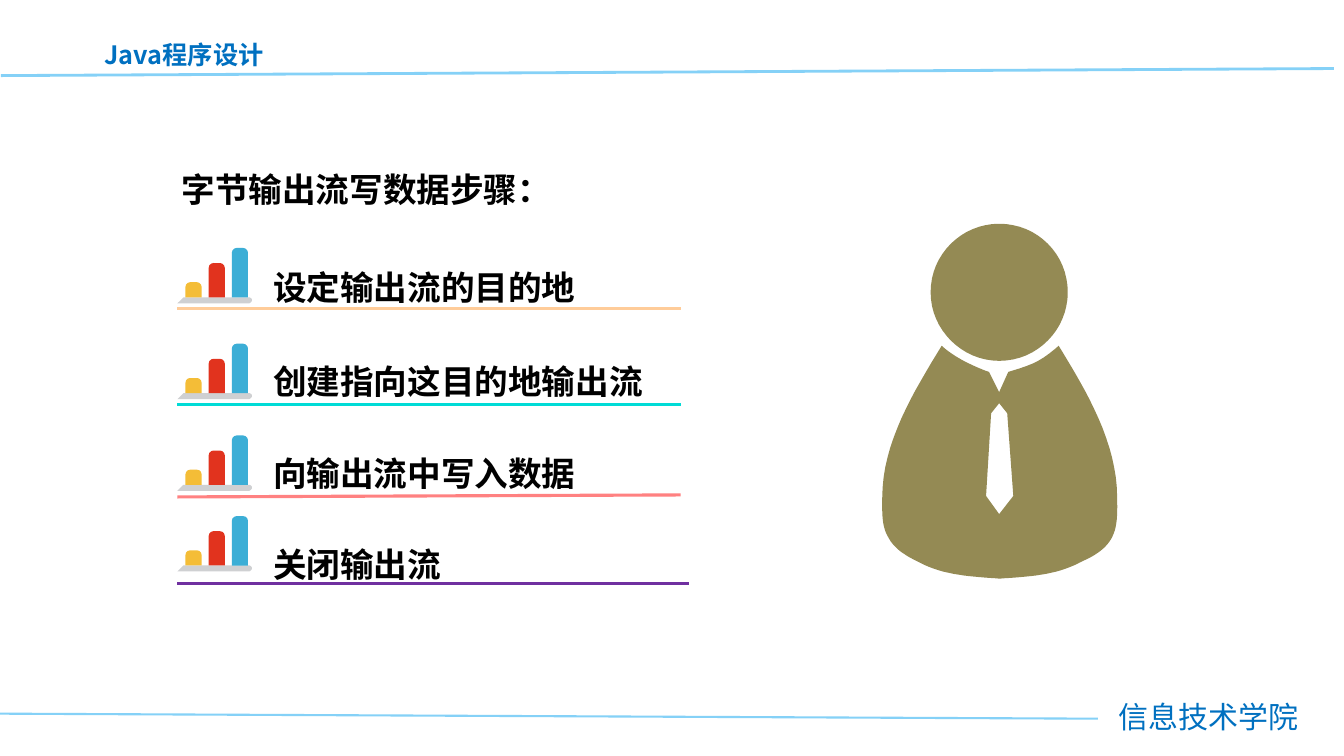
import pptx
import pptx.util
import pptx.dml.color
import pptx.enum.shapes
import pptx.enum.text
import pptx.oxml
import pptx.oxml.ns

SCALE = 9144
FINE = 10
FONT = "Noto Sans CJK SC"
COLORS = {
    "rule": "85D1F7", "brand": "0070C0", "edge": "4F81BD", "text": "000000",
    "peach": "FFCC99", "teal": "00DBD6", "coral": "FF8181", "purple": "7030A0",
    "base": "CFD0D2", "yellow": "F4BD37", "red": "E1331E", "blue": "3CAED6",
    "person": "948A54",
}
STEPS = [
    ("设定输出流的目的地", 248, 246, (306, 306), 675, "peach"),
    ("创建指向这目的地输出流", 341, 341, (401, 401), 675, "teal"),
    ("向输出流中写入数据", 432, 432, (493, 491), 675, "coral"),
    ("关闭输出流", 523, 512, (579, 579), 683, "purple"),
]
BARS = [(184, 15, "yellow"), (207, 34, "red"), (230, 49, "blue")]
HEAD = [
    (1059, 290), (1059, 327, 1029, 358, 991, 358), (954, 358, 923, 327, 923, 290),
    (923, 252, 954, 222, 991, 222), (1029, 222, 1059, 252, 1059, 290),
]
BODY = [
    (991, 389), (981, 369), (981, 369, 951, 359, 934, 343),
    (906, 389, 875, 439, 875, 494), (875, 507, 874, 521, 881, 533),
    (888, 546, 900, 552, 912, 558), (936, 571, 965, 572, 991, 574), (992, 574),
    (1019, 572, 1047, 571, 1071, 558), (1084, 552, 1096, 546, 1103, 533),
    (1109, 521, 1108, 507, 1108, 494), (1108, 439, 1078, 389, 1050, 343),
    (1032, 359, 1023, 362, 1000, 369),
]
TIE = [(991, 510), (978, 492), (983, 410), (991, 400), (999, 410), (1005, 492)]


def px(length):
    return pptx.util.Emu(length * SCALE)


def color(name):
    return pptx.dml.color.RGBColor.from_string(COLORS[name])


def add_xml(parent, tag, index=None):
    element = pptx.oxml.parse_xml(f"<a:{tag} {pptx.oxml.ns.nsdecls('a')}/>")
    parent.insert(len(parent) if index is None else index, element)
    return element


def add_text(page, text, left, top, width, height, size, shade="text", bold=True):
    box = page.shapes.add_textbox(px(left), px(top), px(width), px(height))
    box.text_frame.word_wrap = True
    para = box.text_frame.paragraphs[0]
    para.text = text
    para.font.size = pptx.util.Pt(size)
    para.font.bold = bold
    para.font.color.rgb = color(shade)
    para.font.name = FONT
    add_xml(para.font._element, "ea").set("typeface", FONT)
    return box


def add_rule(page, start, end, shade, weight):
    rule = page.shapes.add_connector(
        pptx.enum.shapes.MSO_CONNECTOR.STRAIGHT, *map(px, start + end))
    rule.line.color.rgb = color(shade)
    rule.line.width = pptx.util.Pt(weight)
    add_xml(rule._element.spPr, "effectLst")


def paint(shape, shade):
    shape.shadow.inherit = False
    shape.fill.solid()
    shape.fill.fore_color.rgb = color(shade)
    shape.line.fill.background()


def trace(outline, samples=16):
    points = [outline[0]]
    for segment in outline[1:]:
        if len(segment) == 2:
            points.append(segment)
            continue
        anchors = [points[-1], segment[:2], segment[2:4], segment[4:]]
        for step in range(1, samples + 1):
            t = step / samples
            weights = ((1 - t) ** 3, 3 * t * (1 - t) ** 2, 3 * t * t * (1 - t), t ** 3)
            points.append(tuple(
                sum(weight * anchor[axis] for weight, anchor in zip(weights, anchors))
                for axis in (0, 1)))
    return [(x * FINE, y * FINE) for x, y in points]


def add_outline(shapes, outlines, shade):
    contours = [trace(outline) for outline in outlines]
    builder = shapes.build_freeform(*contours[0][0], scale=SCALE / FINE)
    for number, contour in enumerate(contours):
        if number:
            builder.move_to(*contour[0])
        builder.add_line_segments(contour[1:], close=True)
    paint(builder.convert_to_shape(), shade)


def add_chart_icon(page, top):
    icon = page.shapes.add_group_shape()
    floor = top + 49
    base = [(247, floor), (182, floor), (176, floor + 6), (247, floor + 6),
            (248, floor + 6, 250, floor + 4, 250, floor + 3),
            (250, floor + 1, 248, floor, 247, floor)]
    add_outline(icon.shapes, [base], "base")
    for left, height, shade in BARS:
        bar = icon.shapes.add_shape(
            pptx.enum.shapes.MSO_SHAPE.ROUND_2_SAME_RECTANGLE,
            px(left), px(floor - height), px(16), px(height))
        bar.adjustments[0] = 0.3
        paint(bar, shade)


def add_frame(page):
    add_rule(page, (1, 75), (1323, 68), "rule", 2)
    add_text(page, "Java程序设计", 94, 34, 203, 40, 18, "brand")
    add_rule(page, (0, 708), (1089, 713), "rule", 1.5)
    school = add_text(page, "信息技术学院", 1089, 688, 219, 46, 21.4, "brand", False)
    para = school.text_frame.paragraphs[0]
    para.alignment = pptx.enum.text.PP_ALIGN.CENTER
    edge = add_xml(para.font._element, "ln", 0)
    edge.set("w", str(pptx.util.Pt(0.75)))
    add_xml(add_xml(edge, "solidFill"), "srgbClr").set("val", COLORS["edge"])


def add_heading(page):
    heading = add_text(page, "字节输出流写数据步骤：", 117, 161, 1116, 59, 24)
    frame = heading.text_frame
    frame.margin_left = frame.margin_right = px(13)
    frame.margin_top = frame.margin_bottom = px(7)
    properties = frame.paragraphs[0]._p.get_or_add_pPr()
    properties.set("marL", "0")
    properties.set("indent", str(px(50)))


def add_step(page, text, text_top, icon_top, rule_tops, rule_right, shade):
    label = add_text(page, text, 261, text_top, 663, 62, 24)
    label.text_frame.paragraphs[0].line_spacing = 1.3
    add_rule(page, (176, rule_tops[0]), (rule_right, rule_tops[1]), shade, 2.25)
    add_chart_icon(page, icon_top)


def main():
    deck = pptx.Presentation()
    deck.slide_width, deck.slide_height = px(1333), px(750)
    page = deck.slides.add_slide(deck.slide_layouts[6])
    add_frame(page)
    add_heading(page)
    for step in STEPS:
        add_step(page, *step)
    add_outline(page.shapes, [HEAD, BODY, TIE], "person")
    deck.save("out.pptx")


if __name__ == "__main__":
    main()
